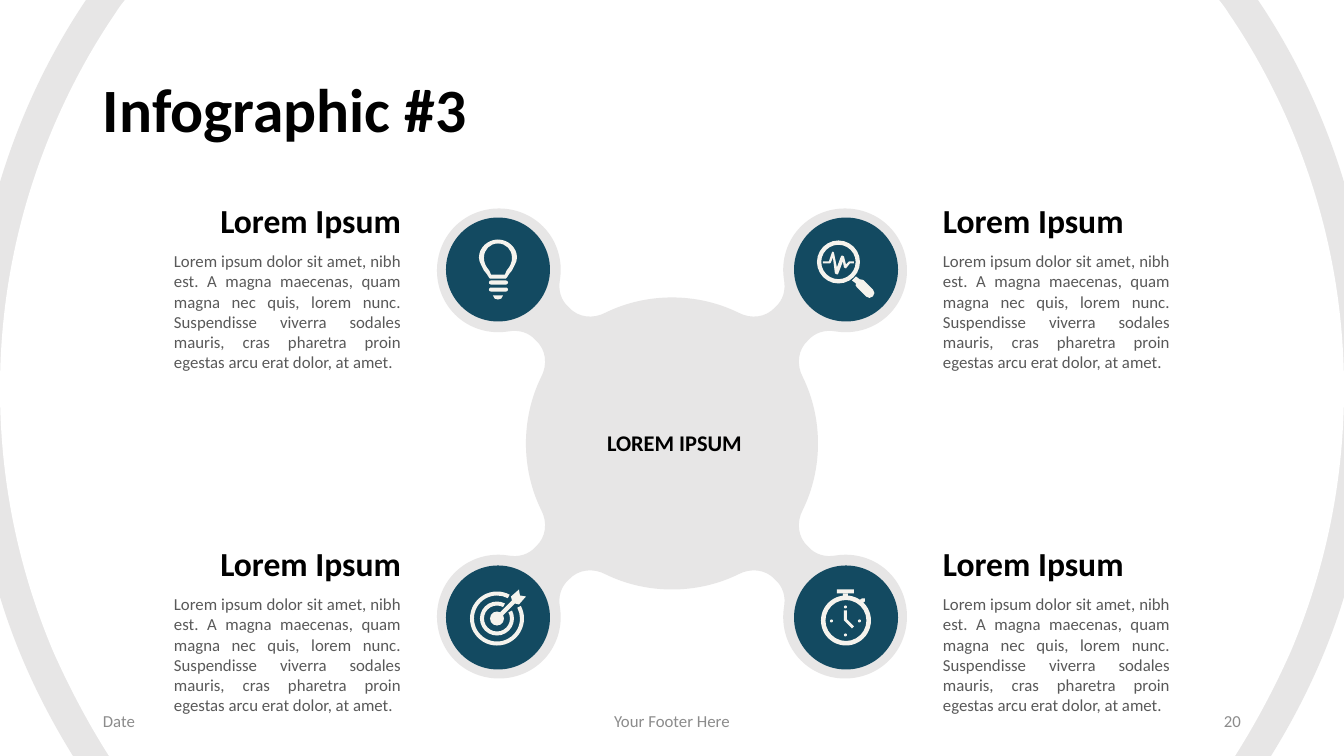
"""Builds the four-arm hub infographic slide."""
from pptx import Presentation
from pptx.dml.color import RGBColor
from pptx.enum.shapes import MSO_SHAPE
from pptx.enum.text import MSO_ANCHOR, PP_ALIGN
from pptx.oxml.ns import qn
from pptx.util import Emu, Pt

LEFT, CENTER, RIGHT, JUSTIFY = PP_ALIGN.LEFT, PP_ALIGN.CENTER, PP_ALIGN.RIGHT, PP_ALIGN.JUSTIFY
TOP, MIDDLE, BOTTOM = MSO_ANCHOR.TOP, MSO_ANCHOR.MIDDLE, MSO_ANCHOR.BOTTOM
OVAL, DONUT, ARC = MSO_SHAPE.OVAL, MSO_SHAPE.DONUT, MSO_SHAPE.BLOCK_ARC
RECT, PILL = MSO_SHAPE.RECTANGLE, MSO_SHAPE.ROUNDED_RECTANGLE

PX = 914400 / 100.8
WIDTH, HEIGHT = 1344, 756
FONT = "Calibri"
GREY, WHITE, TEAL, CREAM = "E7E6E6", "FFFFFF", "134A61", "F5F3ED"
BLACK, BODY_GREY, FOOTER_GREY = "000000", "595959", "8C8C8C"

TITLE = "Infographic #3"
HUB_LABEL = "LOREM IPSUM"
HEADING = "Lorem Ipsum"
BODY = ("Lorem ipsum dolor sit amet, nibh est. A magna maecenas, quam magna nec quis, "
        "lorem nunc. Suspendisse viverra sodales mauris, cras pharetra proin egestas "
        "arcu erat dolor, at amet.")
FOOTERS = [("Date", 93, 302, LEFT), ("Your Footer Here", 445, 454, CENTER), ("20", 949, 302, RIGHT)]

# Outline nodes: two numbers are a line end, six are a Bezier curve.
OUTER_LEFT = [(86, 0), (49, 55, 20, 116, 0, 182), (0, 597), (17, 653, 42, 706, 73, 756)]
INNER_LEFT = [(125, 0), (121, 5, 118, 9, 115, 14), (91, 49, 70, 88, 53, 128),
              (18, 211, 0, 298, 0, 389), (0, 480, 18, 568, 53, 651), (69, 687, 88, 723, 109, 756)]
HUB_CENTER = (672, 443.5)
HUB_ARM = [(-66, -131), (-25, -151, 25, -151, 66, -131), (79, -124, 94, -126, 103, -136),
           (111, -143, 114, -153, 112, -164), (109, -183, 115, -203, 129, -217),
           (153, -241, 193, -241, 217, -217), (241, -193, 241, -153, 217, -129),
           (203, -115, 183, -109, 164, -112), (153, -114, 143, -111, 136, -103),
           (126, -94, 124, -79, 131, -66)]
ARM_REACH, DISC = 174, 104

BULB_OUTER = [(0, -30), (-10, -30, -19, -22, -19, -12), (-19, -9, -18, -7, -17, -5),
              (-16, -3, -15, -1, -14, 1), (-12, 3, -10, 6, -9, 8), (-9, 8, -9, 9, -8, 9)]
BULB_INNER = [(0, -26), (-8, -26, -14, -20, -14, -12), (-14, -10, -14, -8, -13, -6),
              (-13, -5, -12, -4, -11, -2), (-9, 0, -8, 2, -7, 5)]
BULB_TIP = [(0, 30), (-2, 30, -5, 29, -5, 26)]
LENS_HANDLE = [(6, 11), (10, 14), (9, 15, 10, 17, 11, 18), (20, 27), (22, 29, 25, 29, 27, 27),
               (29, 25, 29, 22, 27, 20), (18, 11), (17, 10, 15, 10, 14, 10), (10, 7)]
PULSE = [(8, -8), (3, -8), (0, -5), (-2, -13), (-4, -14), (-5, -13), (-9, -2), (-12, -17),
         (-13, -18), (-14, -17), (-17, -8), (-23, -8), (-23, -6), (-16, -6), (-15, -7),
         (-13, -12), (-11, 4), (-9, 5), (-8, 5), (-3, -8), (-2, -2), (0, -1), (4, -6), (8, -6)]
DART = [(22, -22), (21, -28), (13, -21), (14, -17), (2, -5), (5, -2), (17, -14), (21, -13), (28, -21)]
WATCH_HAND = [(1, -7), (-2, -7), (-2, 3), (-1, 4), (6, 11), (8, 9), (1, 2)]
WATCH_BUTTON = [(13, -17), (16, -19), (19, -19), (19, -16), (16, -14)]


def pairs(node):
    return list(zip(node[::2], node[1::2]))


def mirrored(half, axis=0):
    ends = [half[-1][-2:]]
    for node, previous in zip(half[:0:-1], half[-2::-1]):
        ends.append(node[2:4] + node[:2] + previous[-2:] if len(node) == 6 else previous[-2:])
    return half + [sum(((2 * axis - x, y) for x, y in pairs(node)), ()) for node in ends]


def quarter_turned(arm):
    outline, turn = arm[:1], arm
    for _ in range(4):
        outline = outline + turn[1:]
        turn = [sum(((-y, x) for x, y in pairs(node)), ()) for node in turn]
    return outline


def color(value):
    return RGBColor.from_string(value)


def paint(shape, fill):
    shape.fill.solid()
    shape.fill.fore_color.rgb = color(fill)
    shape.line.fill.background()
    shape.shadow.inherit = False


def add_outline(contours, fill, origin=(0, 0)):
    placed = [[((x + origin[0]) * PX, (y + origin[1]) * PX) for node in contour for x, y in pairs(node)]
              for contour in contours]
    builder = slide.shapes.build_freeform(*placed[0][0], scale=1.0)
    for index, points in enumerate(placed):
        if index:
            builder.move_to(*points[0])
        builder.add_line_segments(points[1:], close=True)
    shape = builder.convert_to_shape()
    segments = iter(list(shape._element.iter(qn("a:lnTo"))))
    for node in (node for contour in contours for node in contour[1:]):
        segment = next(segments)
        if len(node) == 6:
            segment.tag = qn("a:cubicBezTo")
            for _ in range(2):
                follower = next(segments)
                segment.append(follower[0])
                follower.getparent().remove(follower)
    paint(shape, fill)


def add_preset(kind, box, fill, origin=(0, 0), adjustments=()):
    x, y, w, h = box
    shape = slide.shapes.add_shape(kind, *(Emu(round(v * PX)) for v in (x + origin[0], y + origin[1], w, h)))
    for index, value in enumerate(adjustments):
        shape.adjustments[index] = value
    paint(shape, fill)


def add_text(text, box, size, fill, align=LEFT, anchor=MIDDLE, bold=False, insets=(10, 10), spacing=None, before=None):
    frame = slide.shapes.add_textbox(*(Emu(round(v * PX)) for v in box)).text_frame
    frame.word_wrap = True
    frame.vertical_anchor = anchor
    frame.margin_left, frame.margin_right = (Emu(round(v * PX)) for v in insets)
    paragraph = frame.paragraphs[0]
    paragraph.text = text
    paragraph.alignment = align
    paragraph.line_spacing = spacing
    paragraph.space_before = before
    font = paragraph.font
    font.name, font.size, font.bold = FONT, Pt(size), bold
    font.color.rgb = color(fill)


def draw_bulb(center):
    add_outline([mirrored(BULB_OUTER), mirrored(BULB_INNER)], CREAM, center)
    for y in (11, 18):
        add_preset(PILL, (-9, y, 19, 4), CREAM, center, [0.5])
    add_outline([mirrored(BULB_TIP)], CREAM, center)


def draw_lens(center):
    add_preset(DONUT, (-29, -29, 43, 43), CREAM, center, [0.1])
    add_outline([LENS_HANDLE, PULSE], CREAM, center)


def draw_target(center):
    for radius in (27, 17):
        box = (-1 - radius, 1 - radius, 2 * radius, 2 * radius)
        add_preset(ARC, box, CREAM, center, [332 * 0.6, 298 * 0.6, 2 / radius])
    add_preset(OVAL, (-8, -6, 14, 14), CREAM, center)
    add_outline([DART], CREAM, center)


def draw_stopwatch(center):
    add_preset(DONUT, (-25, -22, 50, 50), CREAM, center, [0.09])
    for box in ((-9, -28, 17, 4), (-3, -24, 5, 4)):
        add_preset(RECT, box, CREAM, center)
    for dx, dy in ((0, -14), (14, 0), (0, 14), (-14, 0)):
        add_preset(OVAL, (dx - 2, dy + 2, 3, 3), CREAM, center)
    add_outline([WATCH_HAND, WATCH_BUTTON], CREAM, center)


ARMS = [(-1, -1, draw_bulb), (1, -1, draw_lens), (-1, 1, draw_target), (1, 1, draw_stopwatch)]

deck = Presentation()
deck.slide_width, deck.slide_height = Emu(round(WIDTH * PX)), Emu(round(HEIGHT * PX))
slide = deck.slides.add_slide(deck.slide_layouts[6])

for half, fill in ((OUTER_LEFT, GREY), (INNER_LEFT, WHITE)):
    add_outline([mirrored(half, WIDTH // 2)], fill)
add_outline([quarter_turned(HUB_ARM)], GREY, HUB_CENTER)

add_text(TITLE, (93, 40, 1159, 146), 44, BLACK, bold=True, spacing=0.9)
for text, x, width, align in FOOTERS:
    add_text(text, (x, 701, width, 40), 12, FOOTER_GREY, align)
add_text(HUB_LABEL, (581, 377, 182, 134), 16, BLACK, CENTER, bold=True, insets=(5, 0), spacing=0.9, before=Pt(10))

for side, level, draw_icon in ARMS:
    center = (HUB_CENTER[0] + side * ARM_REACH, HUB_CENTER[1] + level * ARM_REACH)
    add_preset(OVAL, (-DISC // 2, -DISC // 2, DISC, DISC), TEAL, center)
    draw_icon(center)
    x, y = (174, 943)[side > 0], (195, 538)[level > 0]
    add_text(HEADING, (x, y, 227, 50), 24, BLACK, RIGHT if side < 0 else LEFT, BOTTOM, True, (0, 0))
    add_text(BODY, (x, y + 51, 227, 132), 12, BODY_GREY, JUSTIFY, TOP, insets=(0, 0))

deck.save("out.pptx")
